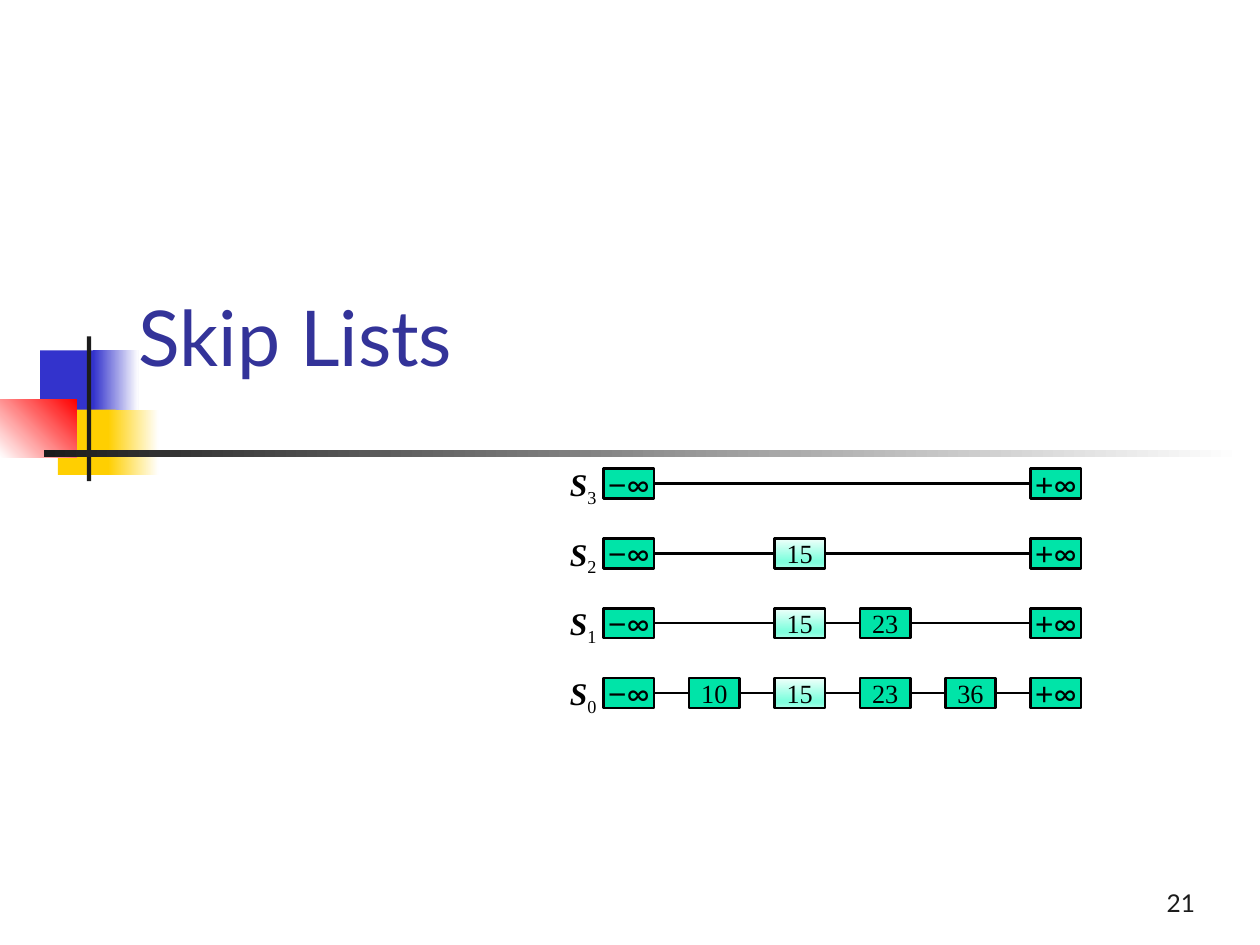
from lxml import etree
from pptx import Presentation
from pptx.dml.color import RGBColor
from pptx.enum import shapes, text
from pptx.oxml import ns
from pptx.util import Pt

COLORS = {
    "blue": "3333CC", "yellow": "FFCF01", "red": "FF0000", "white": "FFFFFF",
    "dark": "1C1C1C", "title": "333399", "black": "000000", "node": "00E4A8",
    "mint": "F1FFFB", "aqua": "80FFDE", "pale": "AAFFE9",
}
SERIF = "Times New Roman"
LEFT, TOP = 345, 267.75
COL_STEP, ROW_STEP = 48.8, 39.9
NODE_W, NODE_H = 28.8, 17.1
COLUMNS = ["−∞", "10", "15", "23", "36", "+∞"]
LEVELS = [(3, [0, 5]), (2, [0, 2, 5]), (1, [0, 2, 3, 5]), (0, range(6))]
HIGHLIGHT = [(0, "mint"), (74, "aqua"), (83, "aqua"), (100, "pale")]


def rgb(name):
    return RGBColor.from_string(COLORS[name])


def fill_gradient(sp, stops, angle):
    sp.fill.background()
    none = sp._element.spPr.find(ns.qn("a:noFill"))
    grad = etree.Element(ns.qn("a:gradFill"), rotWithShape="1")
    gs_list = etree.SubElement(grad, ns.qn("a:gsLst"))
    for pos, name in stops:
        gs = etree.SubElement(gs_list, ns.qn("a:gs"), pos=str(pos * 1000))
        etree.SubElement(gs, ns.qn("a:srgbClr"), val=COLORS[name])
    etree.SubElement(grad, ns.qn("a:lin"), ang=str(angle * 60000), scaled="0")
    none.getparent().replace(none, grad)


def add_rect(s, x, y, w, h, fill, angle=0):
    sp = s.shapes.add_shape(shapes.MSO_SHAPE.RECTANGLE, Pt(x), Pt(y), Pt(w), Pt(h))
    sp.shadow.inherit = False
    sp.line.fill.background()
    if isinstance(fill, str):
        sp.fill.solid()
        sp.fill.fore_color.rgb = rgb(fill)
    else:
        fill_gradient(sp, fill, angle)
    return sp


def format_run(r, size, font, color="black"):
    r.font.size = Pt(size)
    r.font.name = font
    r.font.color.rgb = rgb(color)


def add_decor(s):
    def fade(start, end):
        return [(0, start), (100, end)]

    for x, y, w, h, fill, angle in [
        (23, 200.2, 34.6, 37.4, "blue", 0),
        (53.3, 200.2, 25.9, 37.4, fade("blue", "white"), 0),
        (33.1, 234, 33.1, 37.4, "yellow", 0),
        (61.9, 234, 28.8, 37.4, fade("yellow", "white"), 0),
        (0, 228.2, 44, 33.1, fade("white", "red"), 315),
        (49.7, 192.2, 2.5, 82.8, "dark", 0),
        (25.2, 257, 684.7, 4.3, fade("dark", "white"), 0),
    ]:
        add_rect(s, x, y, w, h, fill, angle)


def add_title(s, title):
    sp = s.shapes.title
    sp.left, sp.top, sp.width, sp.height = Pt(72), Pt(132), Pt(612), Pt(90)
    tf = sp.text_frame
    tf.text = title
    tf.auto_size = text.MSO_AUTO_SIZE.NONE
    tf.vertical_anchor = text.MSO_ANCHOR.BOTTOM
    p = tf.paragraphs[0]
    p.alignment = text.PP_ALIGN.LEFT
    format_run(p.runs[0], 44, "Lato", "title")
    s.shapes._spTree.append(sp._element)


def add_page_number(s, number):
    tf = s.shapes.add_textbox(Pt(540), Pt(492), Pt(150), Pt(36)).text_frame
    tf.word_wrap = True
    tf.vertical_anchor = text.MSO_ANCHOR.BOTTOM
    tf.text = number
    p = tf.paragraphs[0]
    p.alignment = text.PP_ALIGN.RIGHT
    format_run(p.runs[0], 14, "Lato", "dark")


def add_level_label(s, level, y):
    tf = s.shapes.add_textbox(Pt(318.2), Pt(y), Pt(30.2), Pt(28.8)).text_frame
    tf.word_wrap = False
    tf.auto_size = text.MSO_AUTO_SIZE.SHAPE_TO_FIT_TEXT
    p = tf.paragraphs[0]
    p.alignment = text.PP_ALIGN.CENTER
    for part, is_name in (("S", True), (str(level), False)):
        r = p.add_run()
        r.text = part
        format_run(r, 18, SERIF)
        r.font.bold = r.font.italic = is_name
    r.font._element.set("baseline", "-25000")


def add_node(s, x, y, key):
    sp = add_rect(s, x, y, NODE_W, NODE_H, HIGHLIGHT if key == "15" else "node", 90)
    sp.line.color.rgb = rgb("black")
    sp.line.width = Pt(1.5)
    tf = sp.text_frame
    tf.word_wrap = False
    tf.margin_left = tf.margin_right = tf.margin_top = tf.margin_bottom = 0
    tf.vertical_anchor = text.MSO_ANCHOR.MIDDLE
    p = tf.paragraphs[0]
    p.alignment = text.PP_ALIGN.CENTER
    if key.isdigit():
        parts = [(key, 15, SERIF)]
    else:
        parts = [(key[0], 18, "Arial"), (key[1], 18, "Lato")]
    for part, size, font in parts:
        r = p.add_run()
        r.text = part
        format_run(r, size, font)


def add_link(s, x1, x2, y):
    line = s.shapes.add_connector(shapes.MSO_CONNECTOR.STRAIGHT, Pt(x1), Pt(y), Pt(x2), Pt(y))
    line.line.color.rgb = rgb("black")
    line.line.width = Pt(1.5)
    etree.SubElement(line._element.spPr, ns.qn("a:effectLst"))


def add_skip_list(s):
    for row, (level, columns) in enumerate(LEVELS):
        y = TOP + row * ROW_STEP
        xs = [LEFT + col * COL_STEP for col in columns]
        add_level_label(s, level, y - 5.7)
        for x, next_x in zip(xs, xs[1:]):
            add_link(s, x + NODE_W, next_x, y + NODE_H / 2)
        for x, col in zip(xs, columns):
            add_node(s, x, y, COLUMNS[col])


def main():
    prs = Presentation()
    prs.slide_width, prs.slide_height = Pt(720), Pt(540)
    s = prs.slides.add_slide(prs.slide_layouts[0])
    subtitle = s.placeholders[1]._element
    subtitle.getparent().remove(subtitle)
    add_decor(s)
    add_page_number(s, "21")
    add_title(s, "Skip Lists")
    add_skip_list(s)
    prs.save("out.pptx")


if __name__ == "__main__":
    main()
